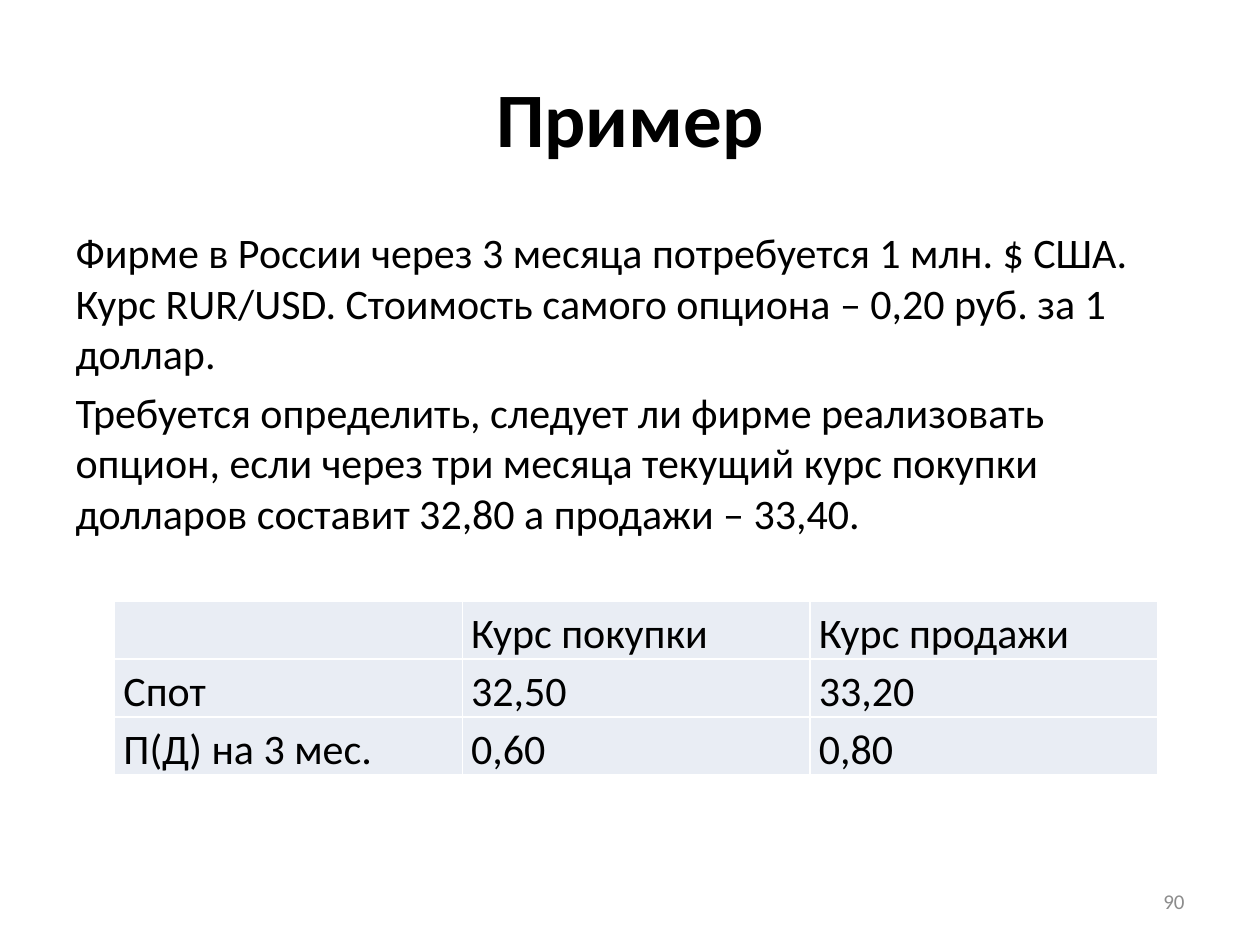
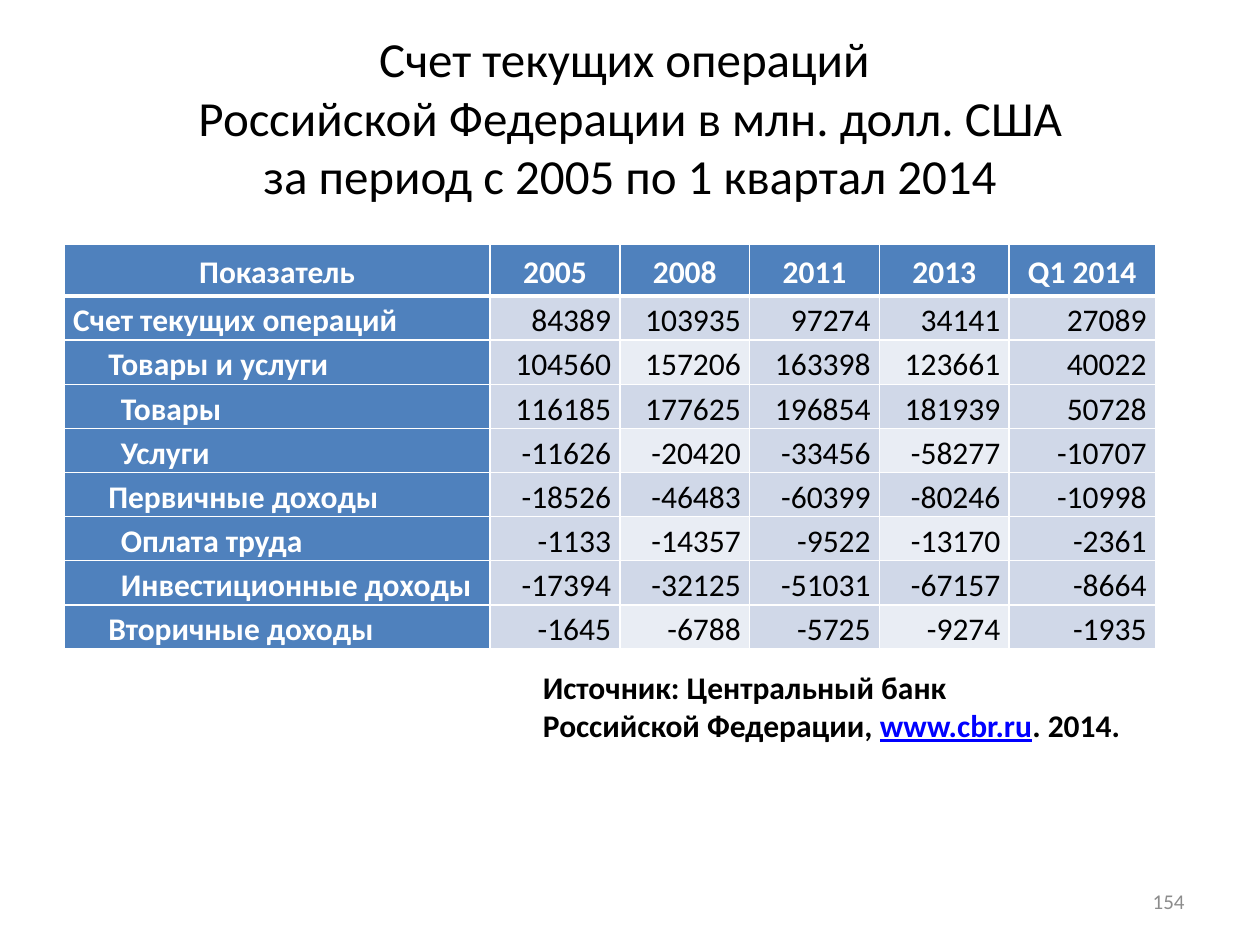
from lxml import etree
from pptx import Presentation
from pptx import util as u
from pptx.dml.color import RGBColor
from pptx.enum import text
from pptx.oxml.ns import qn

# Shared style
FONT = "Calibri"
BLACK, WHITE, GREY, LINK = "000000", "FFFFFF", "8C8C8C", "0000FF"
HEADER, BAND, PALE = "4F81BD", "D0D8E8", "E9EDF4"
ALIGN = text.PP_ALIGN
TITLE_BOX = (0.5, 0.3, 9, 1.25)
BODY_BOX = (0.5, 1.75, 9, 4.95)
NUMBER_BOX = (7.17, 6.95, 2.33, 0.4)
NOTE_BOX = (4.21, 5.25, 5, 0.71)

# Content: option example
EXAMPLE_TITLE = "Пример"
EXAMPLE_TEXT = [
    "Фирме в России через 3 месяца потребуется 1 млн. $ США. Курс RUR/USD. "
    "Стоимость самого опциона – 0,20 руб. за 1 доллар.",
    "Требуется определить, следует ли фирме реализовать опцион, если через три "
    "месяца текущий курс покупки долларов составит 32,80 а продажи – 33,40.",
]
RATES = [
    ("", "Курс покупки", "Курс продажи"),
    ("Спот", "32,50", "33,20"),
    ("П(Д) на 3 мес.", "0,60", "0,80"),
]

# Content: current account
ACCOUNT_TITLE = ("Счет текущих операций \vРоссийской Федерации в млн. долл. США"
                 "\vза период с 2005 по 1 квартал 2014")
ACCOUNT_HEAD = ("Показатель", "2005", "2008", "2011", "2013", "Q1 2014")
ACCOUNT = [  # level, indicator, values
    (0, "Счет текущих операций", 84389, 103935, 97274, 34141, 27089),
    (1, "Товары и услуги", 104560, 157206, 163398, 123661, 40022),
    (2, "Товары", 116185, 177625, 196854, 181939, 50728),
    (2, "Услуги", -11626, -20420, -33456, -58277, -10707),
    (1, "Первичные доходы", -18526, -46483, -60399, -80246, -10998),
    (2, "Оплата труда", -1133, -14357, -9522, -13170, -2361),
    (2, "Инвестиционные доходы", -17394, -32125, -51031, -67157, -8664),
    (1, "Вторичные доходы", -1645, -6788, -5725, -9274, -1935),
]
LEVEL_INDENT = (0, 0.28, 0.38)
SOURCE = [
    ("Источник: Центральный банк \vРоссийской Федерации, ", BLACK),
    ("www.cbr.ru", LINK),
    (". 2014.", BLACK),
]


def rgb(color):
    return RGBColor.from_string(color)


def style(paragraph, size, color=BLACK, bold=False, align=ALIGN.LEFT):
    paragraph.alignment = align
    for run in paragraph.runs:
        run.font.name, run.font.size, run.font.bold = FONT, u.Pt(size), bold
        run.font.color.rgb = rgb(color)


def place(shape, box):
    shape.left, shape.top, shape.width, shape.height = map(u.Inches, box)


def add_slide(prs, layout, title, size, bold, number):
    slide = prs.slides.add_slide(prs.slide_layouts[layout])
    heading = slide.shapes.title
    place(heading, TITLE_BOX)
    heading.text_frame.text = title
    heading.text_frame.auto_size = text.MSO_AUTO_SIZE.NONE
    heading.text_frame.vertical_anchor = text.MSO_ANCHOR.MIDDLE
    style(heading.text_frame.paragraphs[0], size, bold=bold, align=ALIGN.CENTER)

    page = slide.shapes.add_textbox(*map(u.Inches, NUMBER_BOX)).text_frame
    page.word_wrap = True
    page.vertical_anchor = text.MSO_ANCHOR.MIDDLE
    page.text = str(number)
    style(page.paragraphs[0], 12, GREY, align=ALIGN.RIGHT)
    return slide


def add_grid(slide, left, top, widths, heights):
    table = slide.shapes.add_table(
        len(heights), len(widths), u.Inches(left), u.Inches(top),
        u.Inches(sum(widths)), u.Inches(sum(heights))).table
    table.first_row = table.horz_banding = False
    for column, width in zip(table.columns, widths):
        column.width = u.Inches(width)
    for row, height in zip(table.rows, heights):
        row.height = u.Inches(height)
    return table


def fill_cell(cell, value, fill, size, color=BLACK, bold=False, align=ALIGN.LEFT,
              indent=0, top_line=1, bottom_line=1):
    cell.margin_left = cell.margin_right = u.Inches(0.07)
    cell.margin_top = cell.margin_bottom = 0
    cell.text_frame.text = str(value)
    paragraph = cell.text_frame.paragraphs[0]
    paragraph.line_spacing = 1.15
    if indent:
        paragraph._p.get_or_add_pPr().set("marL", str(u.Inches(indent)))
    style(paragraph, size, color, bold, align)
    # Borders come before the fill in the cell properties
    props = cell._tc.get_or_add_tcPr()
    for side, width in (("L", 1), ("R", 1), ("T", top_line), ("B", bottom_line)):
        line = etree.SubElement(props, qn(f"a:ln{side}"), w=str(u.Pt(width)))
        solid = etree.SubElement(line, qn("a:solidFill"))
        etree.SubElement(solid, qn("a:srgbClr"), val=WHITE)
    cell.fill.solid()
    cell.fill.fore_color.rgb = rgb(fill)


def build_example(prs):
    slide = add_slide(prs, 1, EXAMPLE_TITLE, 44, True, 90)
    body = slide.placeholders[1]
    place(body, BODY_BOX)
    frame = body.text_frame
    frame.text = "\n".join(EXAMPLE_TEXT)
    frame.auto_size = text.MSO_AUTO_SIZE.NONE
    for i, paragraph in enumerate(frame.paragraphs):
        props = paragraph._p.get_or_add_pPr()
        props.set("marL", "0")
        props.set("indent", "0")
        etree.SubElement(props, qn("a:buNone"))
        paragraph.space_before = u.Pt(4.8 if i else 0)
        style(paragraph, 24)

    # Exchange rates
    rates = add_grid(slide, 0.91, 4.77, [2.76] * 3, [0.46] * len(RATES))
    for r, row in enumerate(RATES):
        for c, value in enumerate(row):
            fill_cell(rates.cell(r, c), value, PALE, 24, align=ALIGN.JUSTIFY)


def build_account(prs):
    slide = add_slide(prs, 5, ACCOUNT_TITLE, 28, False, 154)
    widths = [3.38] + [1.03] * 4 + [1.16]
    account = add_grid(slide, 0.51, 1.94, widths, [0.41] + [0.35] * len(ACCOUNT))
    for c, label in enumerate(ACCOUNT_HEAD):
        cell = account.cell(0, c)
        fill_cell(cell, label, HEADER, 18, WHITE, True, ALIGN.CENTER, bottom_line=3)
        cell.vertical_anchor = text.MSO_ANCHOR.MIDDLE
    for r, (level, indicator, *values) in enumerate(ACCOUNT, 1):
        top_line = 3 if r == 1 else 1
        fill_cell(account.cell(r, 0), indicator, HEADER, 18, WHITE, True,
                  indent=LEVEL_INDENT[level], top_line=top_line)
        for c, value in enumerate(values, 1):
            fill = PALE if r % 2 == 0 and c % 2 == 0 else BAND
            fill_cell(account.cell(r, c), value, fill, 18, align=ALIGN.RIGHT,
                      top_line=top_line)

    # Source note
    note = slide.shapes.add_textbox(*map(u.Inches, NOTE_BOX)).text_frame
    note.word_wrap = True
    paragraph = note.paragraphs[0]
    paragraph.text = SOURCE[0][0]
    for words, _ in SOURCE[1:]:
        paragraph.add_run().text = words
    style(paragraph, 18, bold=True)
    for run, (_, color) in zip(paragraph.runs[-2:], SOURCE[1:]):
        run.font.color.rgb = rgb(color)
        run.font.underline = color == LINK


def main():
    prs = Presentation()
    prs.slide_width, prs.slide_height = u.Inches(10), u.Inches(7.5)
    build_example(prs)
    build_account(prs)
    prs.save("out.pptx")


if __name__ == "__main__":
    main()
